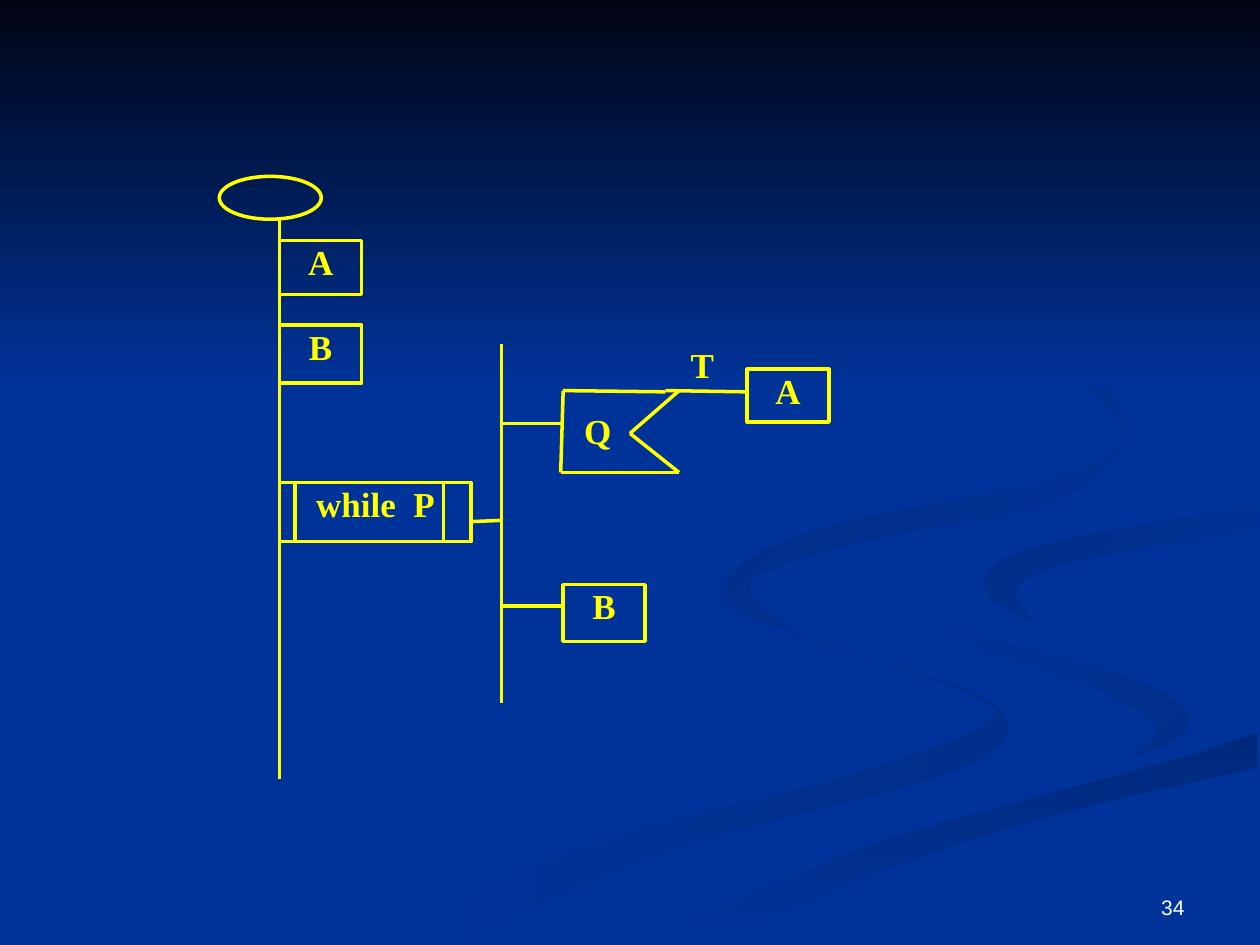
"""Build a program structure diagram with a while loop and a condition on a blue slide."""
from lxml.etree import SubElement
from pptx import Presentation
from pptx.dml.color import RGBColor
from pptx.enum.shapes import MSO_CONNECTOR, MSO_SHAPE
from pptx.enum.text import MSO_ANCHOR, PP_ALIGN
from pptx.oxml.ns import qn
from pptx.util import Inches, Pt

COLORS = {
    "blue": "003399", "night": "000514", "yellow": "FFFF00", "white": "FFFFFF",
    "dusk": "002E8A", "deep": "00297C", "shade": "002C85", "dark": "002B81",
}
RGB = {name: RGBColor.from_string(value) for name, value in COLORS.items()}
LABEL = {"name": "Times New Roman", "size": Pt(20), "bold": True}
NUMBER = {"name": "Arial", "size": Pt(12), "bold": False}
STEPS = 5


def paint(sp, start, end, angle):
    sp.shadow.inherit = False
    sp.line.fill.background()
    sp.fill.gradient()
    sp.fill.gradient_angle = angle
    for stop, color in zip(sp.fill.gradient_stops, (start, end)):
        stop.color.rgb = RGB[color]


def write(sp, text, font, color, align, anchor, insets):
    tf = sp.text_frame
    side, top, bottom = insets
    frame = {
        "margin_left": Inches(side), "margin_right": Inches(side),
        "margin_top": Inches(top), "margin_bottom": Inches(bottom),
        "vertical_anchor": anchor, "word_wrap": True,
    }
    for key, value in frame.items():
        setattr(tf, key, value)
    p = tf.paragraphs[0]
    p.alignment = align
    r = p.add_run()
    r.text = text
    for key, value in font.items():
        setattr(r.font, key, value)
    r.font.color.rgb = RGB[color]


prs = Presentation()
prs.slide_width, prs.slide_height = Inches(10), Inches(7.5)
s = prs.slides.add_slide(prs.slide_layouts[6])
s.background.fill.solid()
s.background.fill.fore_color.rgb = RGB["blue"]

ribbons = [
    ("dusk", "blue", 180,
     [(5.75, 4.59), (5.81, 4.83), (6.79, 5.19), (7.7, 5.51), (7.83, 5.74),
      (6.84, 6.13), (4.58, 6.74), (3, 7.49)],
     [(3.61, 7.49), (5.32, 6.74), (7.4, 6.18), (8, 5.81), (7.67, 5.47),
      (6.42, 5.07), (5.75, 4.59)]),
    ("dusk", "blue", 135,
     [(7.24, 4.64), (7.58, 4.98), (8.7, 5.3), (9.3, 5.53), (9.41, 5.81), (8.94, 6.05)],
     [(8.94, 6.05), (9.17, 5.76), (8.54, 5.39), (7.55, 5.05), (7.24, 4.64)]),
    ("deep", "blue", 270,
     [(5.03, 7.49), (6.3, 6.93), (7.97, 6.38), (9.98, 5.81)],
     [(9.98, 6.09), (8.21, 6.51), (6.7, 7.02), (5.71, 7.49)]),
    ("blue", "blue", 0,
     [(9.99, 3.87), (7.7, 4.27), (7.45, 4.9), (9.05, 5.4), (9.31, 5.9), (6.63, 6.68),
      (4.77, 7.49)],
     [(5.19, 7.47), (6.96, 6.69), (9.99, 5.81), (9.99, 5.38), (8.17, 4.92),
      (8, 4.42), (9.99, 4.02)]),
    ("blue", "shade", 135,
     [(9.98, 4.02), (8.65, 4.24), (7.91, 4.47), (7.86, 4.74), (8.26, 4.96)],
     [(8.26, 4.96), (8.05, 4.72), (8.43, 4.48), (9.98, 4.2)]),
    ("blue", "dark", 135,
     [(7.62, 2.33), (8.43, 2.75), (8.93, 3.35), (8.41, 3.96), (6.83, 4.3),
      (5.96, 4.61), (6.22, 5)],
     [(6.22, 5), (5.77, 4.62), (6.49, 4.2), (8.42, 3.78), (8.89, 3.35), (7.62, 2.33)]),
]
for start, end, angle, *edges in ribbons:
    points = []
    for edge in edges:
        guide = [edge[0], *edge, edge[-1]]
        for a, b, c, d in zip(guide, guide[1:], guide[2:], guide[3:]):
            for step in range(STEPS):
                t = step / STEPS
                points.append([
                    Inches(q + t * (r - p + t * (2 * p - 5 * q + 4 * r - v
                                                 + t * (3 * (q - r) + v - p))) / 2)
                    for p, q, r, v in zip(a, b, c, d)
                ])
        points.append([Inches(value) for value in edge[-1]])
    outline = s.shapes.build_freeform(*points[0])
    outline.add_line_segments(points[1:], close=True)
    paint(outline.convert_to_shape(), start, end, angle)

sky = s.shapes.add_shape(MSO_SHAPE.RECTANGLE, 0, 0, prs.slide_width, Inches(3.08))
paint(sky, "night", "blue", 270)

boxes = [
    (MSO_SHAPE.OVAL, "", 1.74, 1.4, 0.81, 0.34),
    (MSO_SHAPE.RECTANGLE, "A", 2.22, 1.91, 0.65, 0.43),
    (MSO_SHAPE.RECTANGLE, "B", 2.22, 2.58, 0.65, 0.46),
    (MSO_SHAPE.RECTANGLE, "while  P", 2.22, 3.83, 1.52, 0.47),
    (MSO_SHAPE.RECTANGLE, "B", 4.47, 4.64, 0.65, 0.45),
    (MSO_SHAPE.RECTANGLE, "A", 5.93, 2.93, 0.65, 0.42),
]
for kind, text, *place in boxes:
    sp = s.shapes.add_shape(kind, *map(Inches, place))
    sp.shadow.inherit = False
    sp.fill.background()
    sp.line.color.rgb = RGB["yellow"]
    sp.line.width = Pt(2)
    if text:
        write(sp, text, LABEL, "yellow", PP_ALIGN.CENTER, MSO_ANCHOR.TOP, (0.1, 0, 0.01))

trunk, branch, child = 2.22, 3.98, 4.47
q_top, q_bottom, q_left, q_right = 3.1, 3.75, 4.45, 5.39
notch = (5, 3.44)
lines = [(trunk, 1.74, trunk, 6.18), (branch, 2.73, branch, 5.58), (3.74, 4.14, branch, 4.13)]
lines += [(x, 3.83, x, 4.3) for x in (2.34, 3.52)]
lines += [(branch, y, child, y) for y in (3.36, 4.81)]
lines += [(q_right, y, *notch) for y in (q_top, q_bottom)]
lines += [
    (child, q_top, q_left, q_bottom), (q_left, q_bottom, q_right, q_bottom),
    (child, q_top, 5.28, 3.11), (5.28, q_top, 5.93, 3.11),
]
for ends in lines:
    line = s.shapes.add_connector(MSO_CONNECTOR.STRAIGHT, *map(Inches, ends))
    line.line.color.rgb = RGB["yellow"]
    line.line.width = Pt(2)
    SubElement(line._element.spPr, qn("a:effectLst"))

for text, left, top in [("Q", 4.53, 3.25), ("T", 5.36, 2.73)]:
    sp = s.shapes.add_textbox(Inches(left), Inches(top), Inches(0.43), Inches(0.34))
    write(sp, text, LABEL, "yellow", PP_ALIGN.CENTER, MSO_ANCHOR.TOP, (0.1, 0, 0.01))

sp = s.shapes.add_textbox(Inches(7.17), Inches(6.83), Inches(2.33), Inches(0.52))
write(sp, "34", NUMBER, "white", PP_ALIGN.RIGHT, MSO_ANCHOR.BOTTOM, (0.1, 0.05, 0.05))

prs.save("out.pptx")
